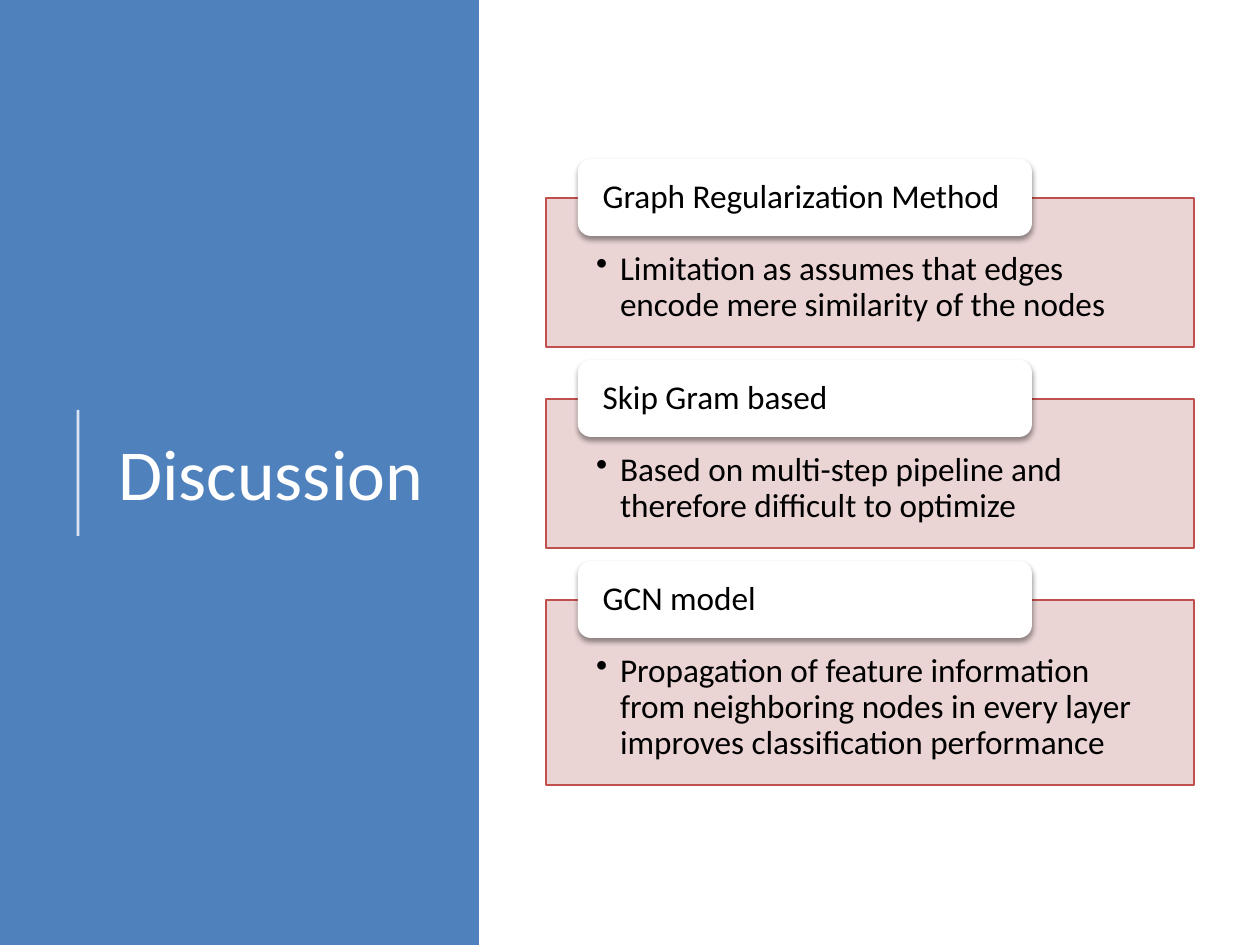
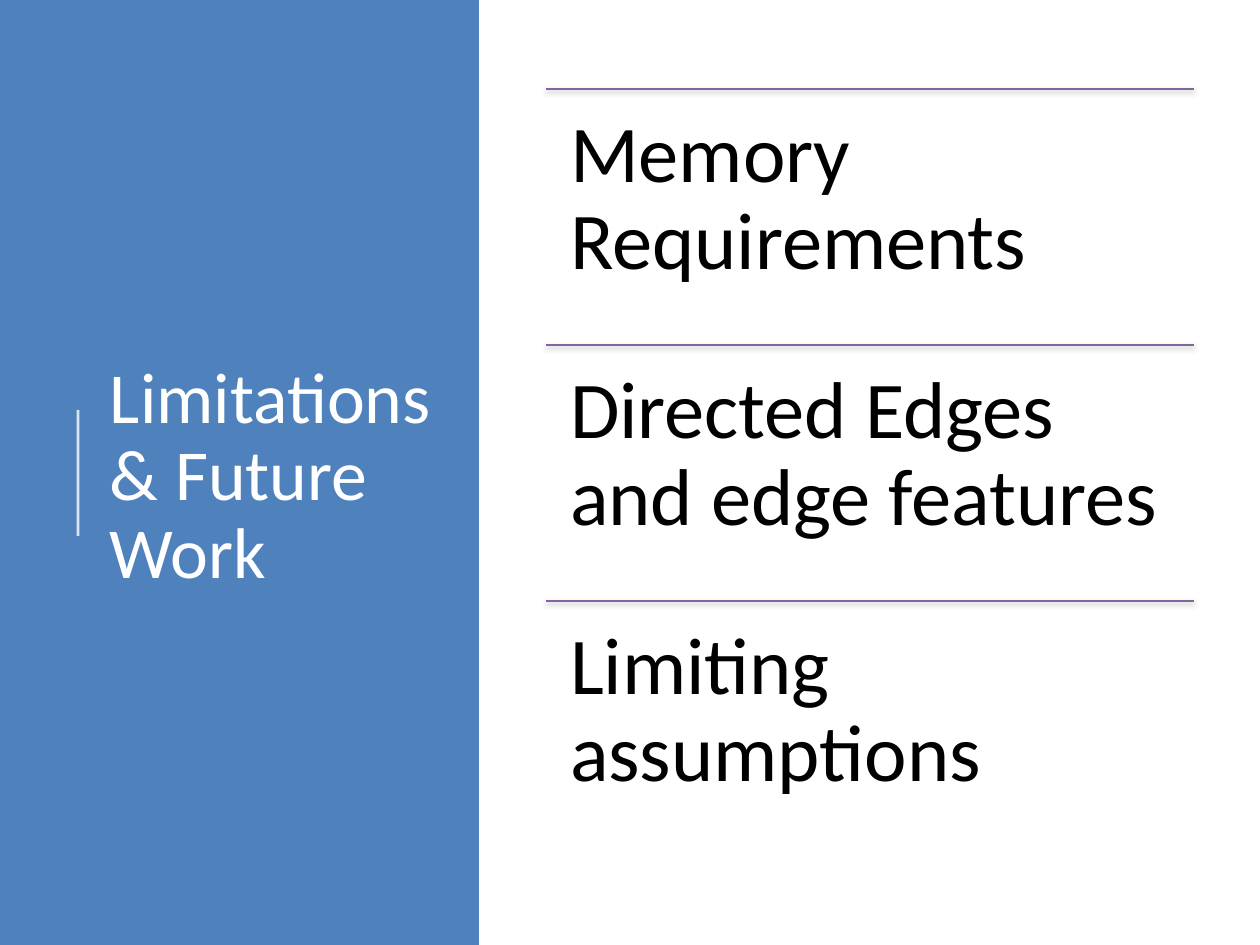
"""Build two slides with a blue title panel: discussion cards and ruled limitations."""
from lxml.etree import SubElement
from pptx import Presentation
from pptx.dml.color import RGBColor
from pptx.enum.shapes import MSO_CONNECTOR as Connector, MSO_SHAPE as Preset
from pptx.enum.text import MSO_ANCHOR as Anchor, MSO_AUTO_SIZE as AutoSize, PP_ALIGN as Align
from pptx.oxml.ns import qn
from pptx.util import Emu, Pt

EMU_PER_PX = 914400 / 126
FONT = "Calibri"
COLORS = {
    "panel": "4F81BD",
    "white": "FFFFFF",
    "text": "000000",
    "card": "E8D0D0",
    "card_line": "C0504D",
    "rule": "8064A2",
}
SLIDE_WIDTH, SLIDE_HEIGHT = 1260, 945
PANEL_WIDTH = 479
CONTENT_LEFT, CONTENT_WIDTH = 546, 648
CARD_TOP, CARD_GAP = 198, 52
TAB_LEFT, TAB_RISE, TAB_WIDTH, TAB_HEIGHT = 578, 39, 454, 77
RULE_TOP, RULE_STEP = 89, 256
BULLET_INDENT = 24

CARDS = [
    ("Graph Regularization Method", 149,
     "Limitation as assumes that edges encode mere similarity of the nodes"),
    ("Skip Gram based", 149,
     "Based on multi-step pipeline and therefore difficult to optimize"),
    ("GCN model", 185,
     "Propagation of feature information from neighboring nodes in every layer "
     "improves classification performance"),
]
LIMITATIONS = [
    "Memory Requirements",
    "Directed Edges and edge features",
    "Limiting assumptions",
]


def px(length):
    return Emu(round(length * EMU_PER_PX))


def color(name):
    return RGBColor.from_string(COLORS[name])


def set_attributes(target, values):
    for name, value in values.items():
        setattr(target, name, value)


def set_alpha(shape, percent):
    first_color = shape.element.xpath("./p:spPr//a:srgbClr")[0]
    SubElement(first_color, qn("a:alpha"), val=str(percent * 1000))


def set_effects(shape, shadow=False):
    effects = SubElement(shape.element.spPr, qn("a:effectLst"))
    if shadow:
        outer = SubElement(effects, qn("a:outerShdw"), blurRad=str(Pt(3.1)),
                           dist=str(Pt(1.6)), dir="5400000", rotWithShape="0")
        black = SubElement(outer, qn("a:srgbClr"), val=COLORS["text"])
        SubElement(black, qn("a:alpha"), val="38000")


def add_block(slide, preset, box, fill, line=None, shadow=False):
    shape = slide.shapes.add_shape(preset, *map(px, box))
    shape.fill.solid()
    shape.fill.fore_color.rgb = color(fill)
    if line:
        shape.line.color.rgb = color(line)
        shape.line.width = Pt(0.75)
    else:
        shape.line.fill.background()
    set_effects(shape, shadow)
    return shape


def add_line(slide, start, end, line, width, shadow=False):
    connector = slide.shapes.add_connector(Connector.STRAIGHT, *map(px, start + end))
    connector.line.color.rgb = color(line)
    connector.line.width = Pt(width)
    set_effects(connector, shadow)
    return connector


def write_text(shape, text, size, insets, ink="text", anchor=Anchor.TOP,
               align=Align.LEFT, bullet=False):
    frame = shape.text_frame
    sides = ("margin_left", "margin_top", "margin_right", "margin_bottom")
    set_attributes(frame, dict(zip(sides, map(px, insets))))
    set_attributes(frame, {"word_wrap": True, "auto_size": AutoSize.NONE,
                           "vertical_anchor": anchor})
    paragraph = frame.paragraphs[0]
    if bullet:
        properties = paragraph._p.get_or_add_pPr()
        properties.set("marL", str(px(BULLET_INDENT)))
        properties.set("indent", str(-px(BULLET_INDENT)))
        SubElement(properties, qn("a:buChar"), char="•")
    set_attributes(paragraph, {"alignment": align, "line_spacing": 0.9})
    run = paragraph.add_run()
    run.text = text
    set_attributes(run.font, {"name": FONT, "size": Pt(size)})
    run.font.color.rgb = color(ink)


def add_titled_slide(presentation, text, align):
    slide = presentation.slides.add_slide(presentation.slide_layouts[5])
    add_block(slide, Preset.RECTANGLE, (0, 0, PANEL_WIDTH, SLIDE_HEIGHT), "panel")
    bar = add_line(slide, (78, 536), (78, 410), "white", 1.5)
    set_alpha(bar, 80)
    title = slide.shapes.title
    title.element.getparent().append(title.element)
    set_attributes(title, {"left": px(97), "top": px(98),
                           "width": px(348), "height": px(759)})
    write_text(title, text, 41, (13, 6, 13, 6), "white", Anchor.MIDDLE, align)
    return slide


def add_card(slide, top, height, heading, detail):
    card = add_block(slide, Preset.RECTANGLE,
                     (CONTENT_LEFT, top, CONTENT_WIDTH, height), "card", "card_line")
    set_alpha(card, 90)
    write_text(card, detail, 19, (50, 54, 50, 19), bullet=True)
    tab = add_block(slide, Preset.ROUNDED_RECTANGLE,
                    (TAB_LEFT, top - TAB_RISE, TAB_WIDTH, TAB_HEIGHT), "white", shadow=True)
    write_text(tab, heading, 19, (21, 0, 21, 0), anchor=Anchor.MIDDLE)


def add_ruled_text(slide, top, text):
    add_line(slide, (CONTENT_LEFT, top), (CONTENT_LEFT + CONTENT_WIDTH, top),
             "rule", 0.75, shadow=True)
    box = slide.shapes.add_textbox(*map(px, (CONTENT_LEFT, top, CONTENT_WIDTH, RULE_STEP)))
    write_text(box, text, 46, (24, 24, 24, 24))


def main():
    presentation = Presentation()
    set_attributes(presentation, {"slide_width": px(SLIDE_WIDTH),
                                  "slide_height": px(SLIDE_HEIGHT)})
    discussion = add_titled_slide(presentation, "Discussion", Align.CENTER)
    top = CARD_TOP
    for heading, height, detail in CARDS:
        add_card(discussion, top, height, heading, detail)
        top += height + CARD_GAP

    future_work = add_titled_slide(presentation, "Limitations & Future Work", Align.LEFT)
    for index, text in enumerate(LIMITATIONS):
        add_ruled_text(future_work, RULE_TOP + index * RULE_STEP, text)
    presentation.save("out.pptx")


if __name__ == "__main__":
    main()
